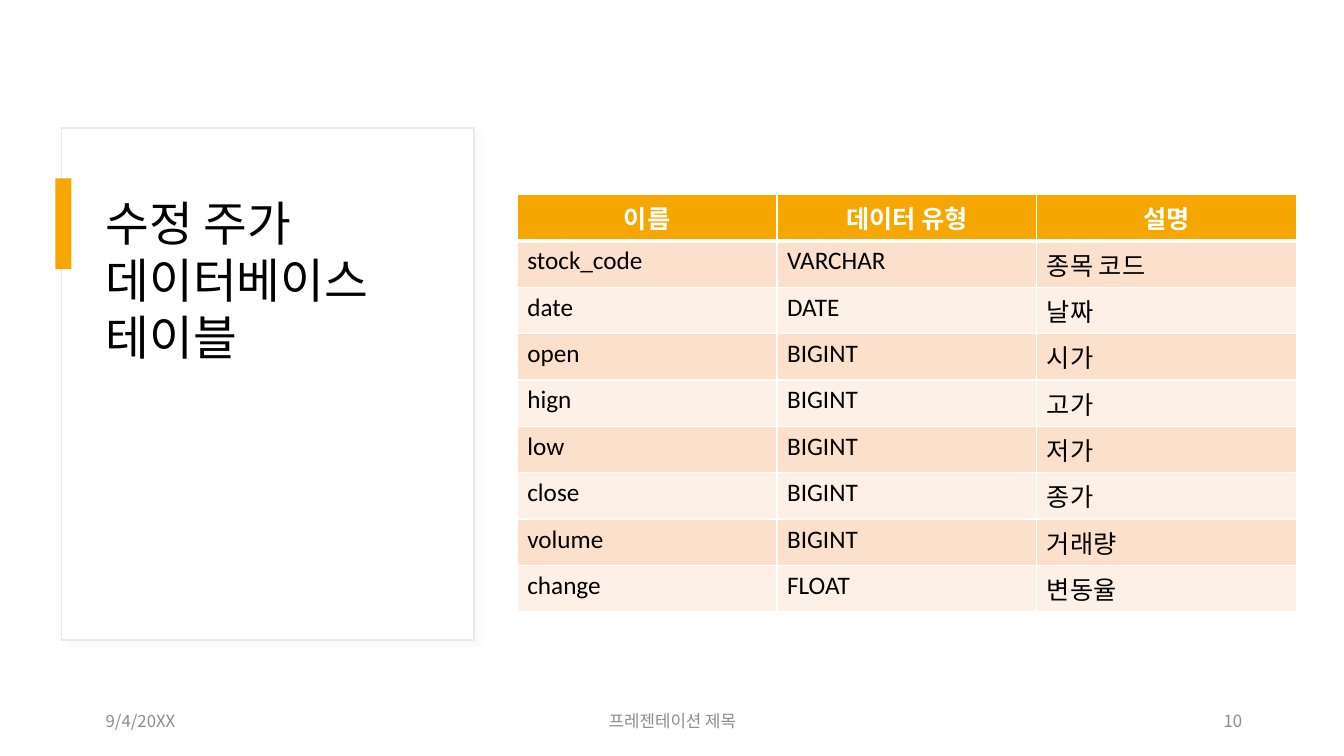
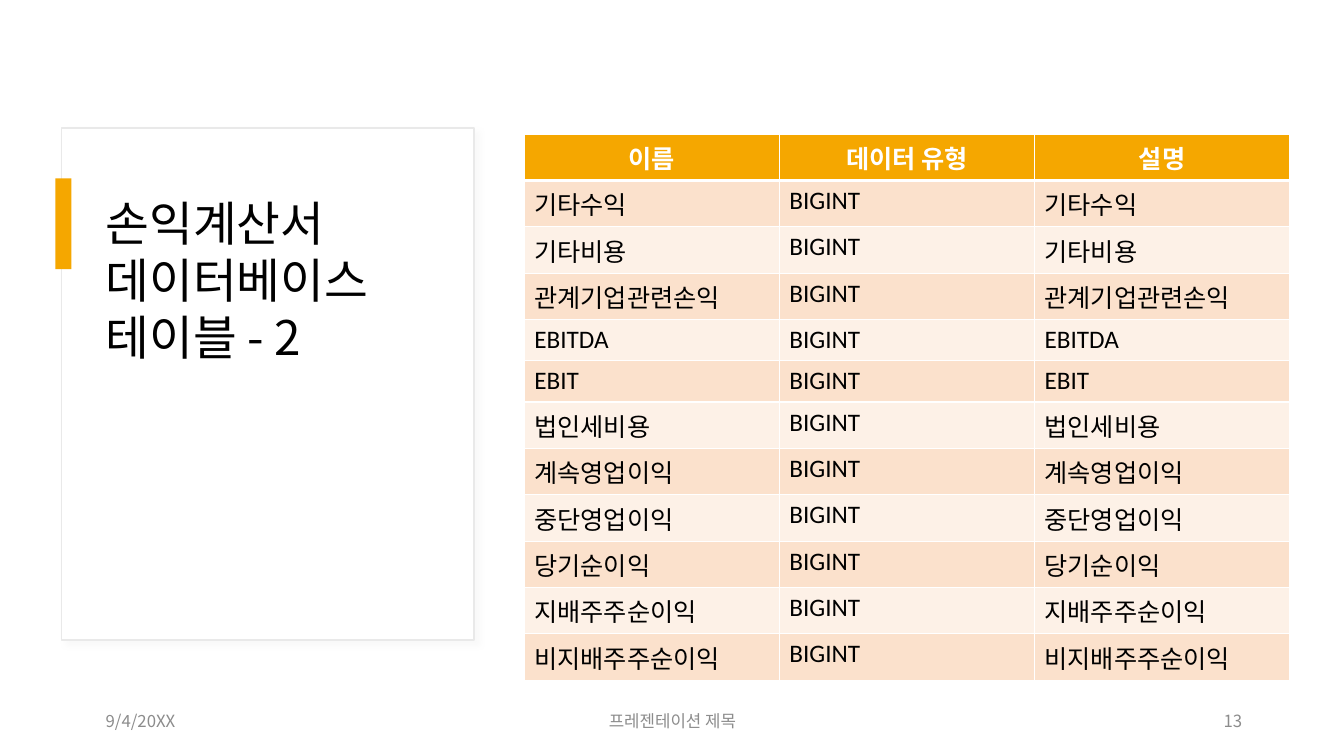
from lxml import etree
from pptx import Presentation
from pptx.dml.color import RGBColor
from pptx.enum.shapes import MSO_SHAPE as Shape
from pptx.enum.text import MSO_ANCHOR as Anchor, PP_ALIGN as Align
from pptx.oxml import parse_xml
from pptx.oxml.ns import nsdecls, qn
from pptx.util import Emu, Pt

PX = 9144  # 100 px to the inch
ORANGE, WHITE, BLACK, GREY = "F5A700", "FFFFFF", "000000", "8C8C8C"
CARD_LINE, SHADOW = "E9E9E9", "D9D9D9"
BANDS = ["FBE1CC", "FDF1E7"]
KOREAN, LATIN = "Noto Sans CJK KR", "Calibri"

HEADER = ["이름", "데이터 유형", "설명"]
KOREAN_ROW, LATIN_ROW = 46, 41
PRICE_ROWS = [
    ("stock_code", "VARCHAR", "종목 코드"),
    ("date", "DATE", "날짜"),
    ("open", "BIGINT", "시가"),
    ("hign", "BIGINT", "고가"),
    ("low", "BIGINT", "저가"),
    ("close", "BIGINT", "종가"),
    ("volume", "BIGINT", "거래량"),
    ("change", "FLOAT", "변동율"),
]
INCOME_ITEMS = [
    "기타수익", "기타비용", "관계기업관련손익", "EBITDA", "EBIT", "법인세비용",
    "계속영업이익", "중단영업이익", "당기순이익", "지배주주순이익", "비지배주주순이익",
]
SLIDES = [
    {
        "title": ["수정 주가", "데이터베이스", "테이블"], "number": "10",
        "table_at": (513, 193), "table_width": 773, "rows": PRICE_ROWS,
    },
    {
        "title": ["손익계산서", "데이터베이스", "테이블 - 2"], "number": "13",
        "table_at": (520, 133), "table_width": 759,
        "rows": [(item, "BIGINT", item) for item in INCOME_ITEMS],
    },
]


def px(*lengths):
    return [Emu(length * PX) for length in lengths]


def rgb(color):
    return RGBColor.from_string(color)


def style(paragraph, size, color, latin=KOREAN, bold=False, align=Align.LEFT):
    """Set the Latin and East Asian fonts of a whole paragraph, without kerning."""
    paragraph.alignment = align
    font = paragraph.font
    font.size, font.bold, font.name = Pt(size), bold, latin
    font.color.rgb = rgb(color)
    defaults = paragraph._p.pPr.find(qn("a:defRPr"))
    defaults.set("kern", "0")
    etree.SubElement(defaults, qn("a:ea")).set("typeface", KOREAN)


def add_box(slide, box, fill, line=None):
    rect = slide.shapes.add_shape(Shape.RECTANGLE, *px(*box))
    rect.shadow.inherit = False
    rect.fill.solid()
    rect.fill.fore_color.rgb = rgb(fill)
    if line:
        rect.line.color.rgb = rgb(line)
        rect.line.width = Pt(1)
    else:
        rect.line.fill.background()
    return rect


def add_text(slide, box, lines, size, color, align=Align.LEFT, anchor=Anchor.TOP,
             after=0):
    frame = slide.shapes.add_textbox(*px(*box)).text_frame
    frame.word_wrap = True
    frame.vertical_anchor = anchor
    frame.text = "\n".join(lines)
    for paragraph in frame.paragraphs:
        style(paragraph, size, color, align=align)
        paragraph.space_after = Pt(after)


def add_card(slide):
    card = add_box(slide, (61, 127, 409, 508), WHITE, CARD_LINE)
    effects = card._element.spPr.find(qn("a:effectLst"))
    effects.append(parse_xml(
        f'<a:outerShdw {nsdecls("a")} blurRad="{Pt(4)}" dist="{Pt(4)}" dir="2700000">'
        f'<a:srgbClr val="{SHADOW}"><a:alpha val="15000"/></a:srgbClr></a:outerShdw>'))
    add_box(slide, (55, 177, 16, 90), ORANGE)


def add_footer(slide, number):
    for left, width, text, align in [
        (95, 300, "9/4/20XX", Align.LEFT),
        (442, 450, "프레젠테이션 제목", Align.CENTER),
        (942, 300, number, Align.RIGHT),
    ]:
        add_text(slide, (left, 695, width, 40), [text], 12, GREY, align,
                 Anchor.MIDDLE, after=6)


def set_borders(cell, bottom):
    properties = cell._tc.get_or_add_tcPr()
    for side, width in [("L", 1), ("R", 1), ("T", 1), ("B", bottom)]:
        properties.append(parse_xml(
            f'<a:ln{side} {nsdecls("a")} w="{Pt(width)}"><a:solidFill>'
            f'<a:srgbClr val="{WHITE}"/></a:solidFill></a:ln{side}>'))


def add_fields_table(slide, at, width, rows):
    rows = [HEADER, *rows]
    heights = [LATIN_ROW if "".join(row).isascii() else KOREAN_ROW for row in rows]
    box = px(*at, width, sum(heights))
    table = slide.shapes.add_table(len(rows), len(HEADER), *box).table
    for r, (row, height) in enumerate(zip(rows, heights)):
        table.rows[r].height = px(height)[0]
        is_header = r == 0
        for c, text in enumerate(row):
            cell = table.cell(r, c)
            set_borders(cell, 3 if is_header else 1)
            cell.fill.solid()
            cell.fill.fore_color.rgb = rgb(ORANGE if is_header else BANDS[(r - 1) % 2])
            cell.text = text
            style(cell.text_frame.paragraphs[0], 18, WHITE if is_header else BLACK,
                  LATIN, is_header, Align.CENTER if is_header else Align.LEFT)


def main():
    deck = Presentation()
    deck.slide_width, deck.slide_height = px(1333, 750)
    for content in SLIDES:
        slide = deck.slides.add_slide(deck.slide_layouts[6])
        add_card(slide)
        add_text(slide, (95, 187, 339, 187), content["title"], 34, BLACK)
        add_footer(slide, content["number"])
        add_fields_table(slide, content["table_at"], content["table_width"],
                         content["rows"])
    deck.save("out.pptx")


if __name__ == "__main__":
    main()
